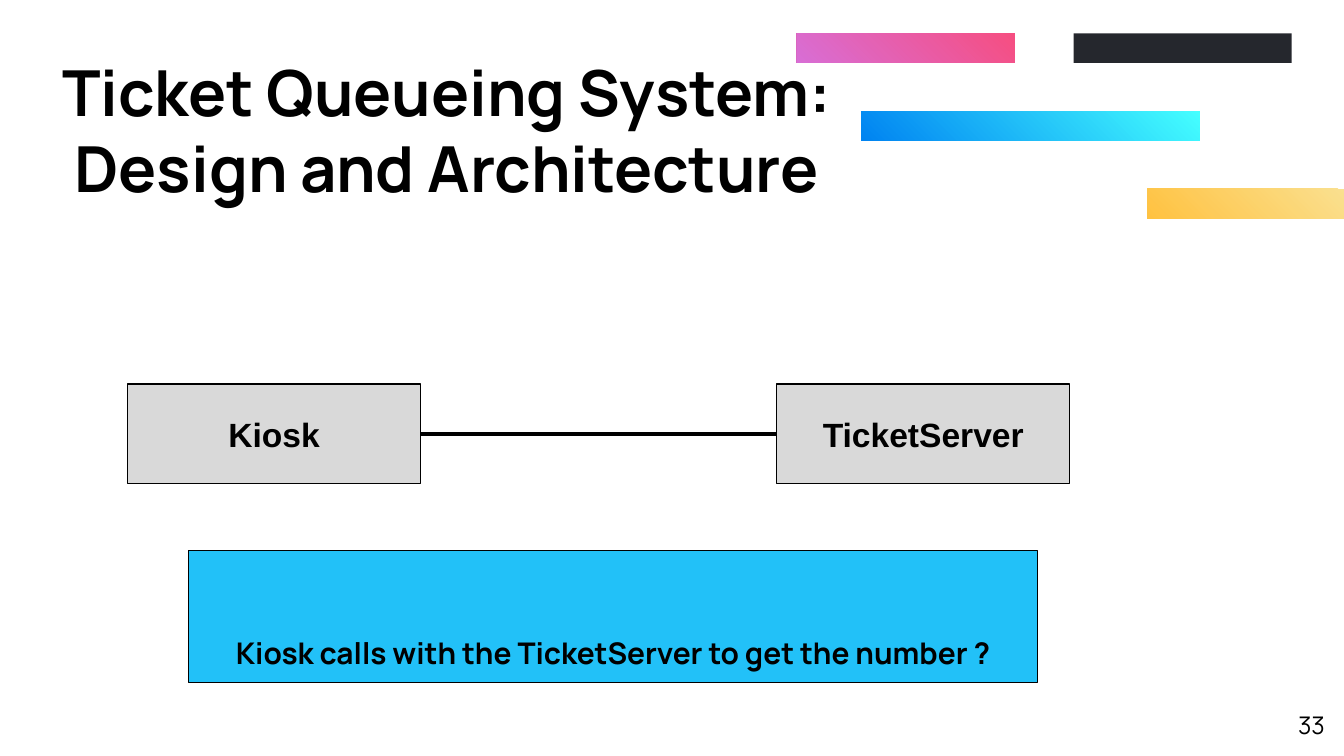
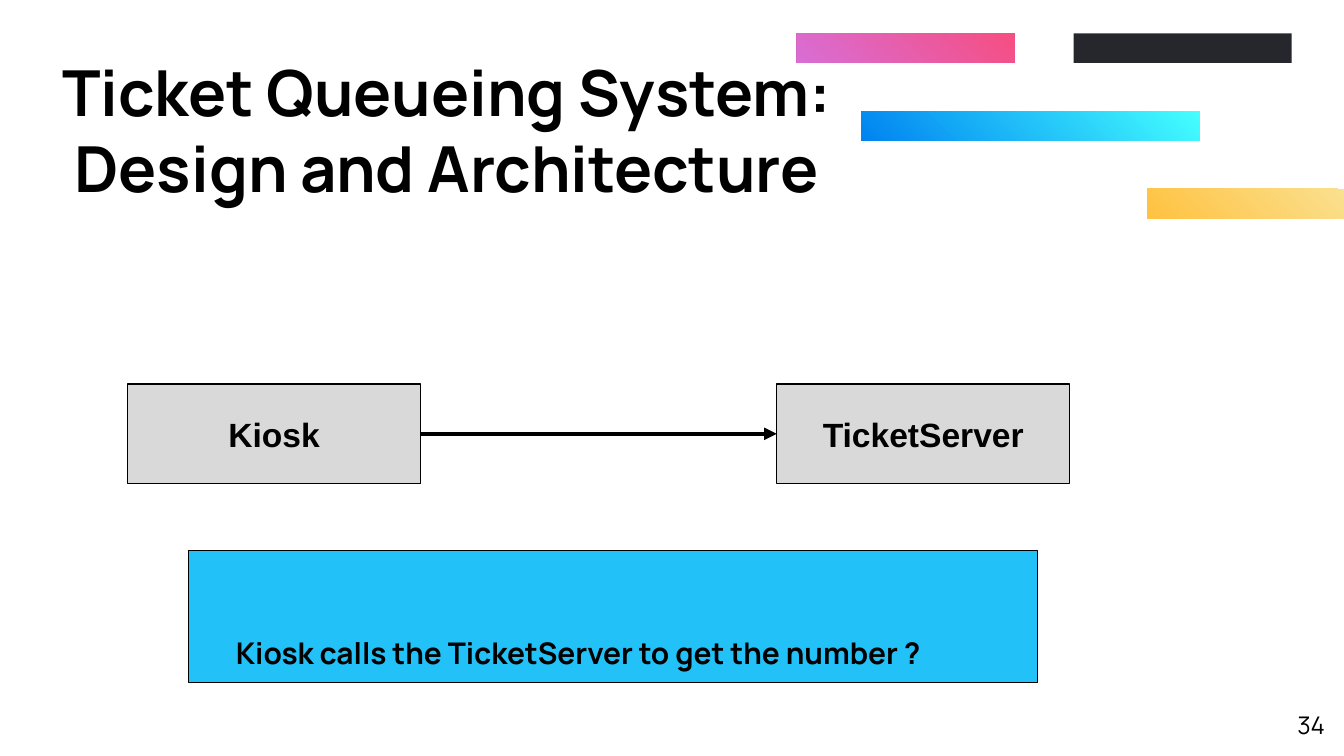
from pptx import Presentation
from pptx.dml.color import RGBColor
from pptx.enum.shapes import MSO_CONNECTOR, MSO_SHAPE
from pptx.enum.text import MSO_ANCHOR, MSO_AUTO_SIZE, PP_ALIGN
from pptx.oxml.ns import qn
from pptx.util import Cm, Pt
from lxml import etree

RECT, LINE = MSO_SHAPE.RECTANGLE, MSO_CONNECTOR.STRAIGHT
TOP, MID, LOW = MSO_ANCHOR.TOP, MSO_ANCHOR.MIDDLE, MSO_ANCHOR.BOTTOM
LEFT, MIDDLE, RIGHT = PP_ALIGN.LEFT, PP_ALIGN.CENTER, PP_ALIGN.RIGHT
BLACK, GREY, BLUE = "000000", "D9D9D9", "22C1F8"
HEAD, BODY = "Manrope", "Arial"

# Content
TITLE = "Ticket Queueing System:\vDesign and Architecture"
NODES = ["Kiosk", "TicketServer"]
SLIDES = [
    {"page": "33", "arrow": False,
     "note": "Kiosk calls with the TicketServer to get the number ?"},
    {"page": "34", "arrow": True,
     "note": "Kiosk calls the TicketServer to get the number ?"},
]

# Bands: left, row, width, colours from top right to bottom left
BANDS = [
    (16.28, 1, 6.4, ["45FFFF", "0083F1"]),
    (20.29, 0, 4.12, ["25272D"]),
    (15.06, 0, 4.12, ["F64E81", "D86ED5"]),
    (21.69, 2, 3.71, ["FAE08F", "FFC241"]),
]
BAND_TOP, BAND_STEP, BAND_H = 0.63, 1.47, 0.56

# Places in cm: left, top, width, height
TITLE_AT = (0.66, 0.63, 15.57, 3.63)
PAGE_AT = (23.77, 13.18, 1.52, 1.09)
NOTE_AT = (3.56, 10.41, 16.05, 2.49)
NODE_X, NODE_Y, NODE_W, NODE_H, NODE_STEP = 2.41, 7.26, 5.54, 1.88, 12.27


def rgb(code):
    return RGBColor.from_string(code)


def write(shape, text, size=18, font=HEAD, bold=True, align=MIDDLE,
          anchor=MID, low=0.25, indent=0, space=None):
    frame = shape.text_frame
    frame.word_wrap = True
    frame.auto_size = MSO_AUTO_SIZE.NONE
    frame.vertical_anchor = anchor
    frame.margin_left = frame.margin_right = frame.margin_top = Cm(0.25)
    frame.margin_bottom = Cm(low)
    para = frame.paragraphs[0]
    para.text = text
    para.alignment = align
    if space:
        para.line_spacing = space
    if indent:
        para._p.get_or_add_pPr().set("marL", str(Cm(indent)))
    for run in para.runs:
        run.font.size, run.font.name, run.font.bold = Pt(size), font, bold
        run.font.color.rgb = rgb(BLACK)


def box(slide, place, fills, edge=True):
    shape = slide.shapes.add_shape(RECT, *map(Cm, place))
    shape.shadow.inherit = False
    if len(fills) > 1:
        shape.fill.gradient()
        shape.fill.gradient_angle = 225
        for stop, code in zip(shape.fill.gradient_stops, fills):
            stop.color.rgb = rgb(code)
    else:
        shape.fill.solid()
        shape.fill.fore_color.rgb = rgb(fills[0])
    if edge:
        shape.line.color.rgb = rgb(BLACK)
        shape.line.width = Pt(0.75)
    else:
        shape.line.fill.background()
    return shape


def link(slide, start, end, arrow):
    wire = slide.shapes.add_connector(LINE, 0, 0, 0, 0)
    wire.begin_connect(start, 3)
    wire.end_connect(end, 1)
    wire.line.color.rgb = rgb(BLACK)
    wire.line.width = Pt(2.25)
    if arrow:
        etree.SubElement(wire.line._get_or_add_ln(), qn("a:tailEnd"),
                         type="triangle")
    etree.SubElement(wire._element.spPr, qn("a:effectLst"))


def add_bands(slide, layout):
    # Shared by all slides, so they live on the layout
    for left, row, width, fills in BANDS:
        place = (left, BAND_TOP + row * BAND_STEP, width, BAND_H)
        band = box(slide, place, fills, edge=False)
        layout.shapes.element.append(band.element)


def add_slide(deck, layout, page, arrow, note):
    slide = deck.slides.add_slide(layout)

    # Title and page number
    title = slide.shapes.title
    title.left, title.top, title.width, title.height = map(Cm, TITLE_AT)
    write(title, TITLE, size=34)
    number = slide.shapes.add_textbox(*map(Cm, PAGE_AT))
    write(number, page, size=13, bold=False, align=RIGHT, anchor=TOP)

    # Kiosk and server, joined by a line
    nodes = []
    for i, name in enumerate(NODES):
        place = (NODE_X + i * NODE_STEP, NODE_Y, NODE_W, NODE_H)
        node = box(slide, place, [GREY])
        write(node, name, font=BODY)
        nodes.append(node)
    link(slide, *nodes, arrow)

    # Question below
    write(box(slide, NOTE_AT, [BLUE]), note, size=16, align=LEFT,
          anchor=LOW, low=0.23, indent=0.65, space=1.5)
    return slide


def main():
    deck = Presentation()
    deck.slide_width, deck.slide_height = Cm(25.4), Cm(14.29)
    layout = deck.slide_layouts[5]
    slides = [add_slide(deck, layout, **item) for item in SLIDES]
    add_bands(slides[0], layout)
    deck.save("out.pptx")


if __name__ == "__main__":
    main()
